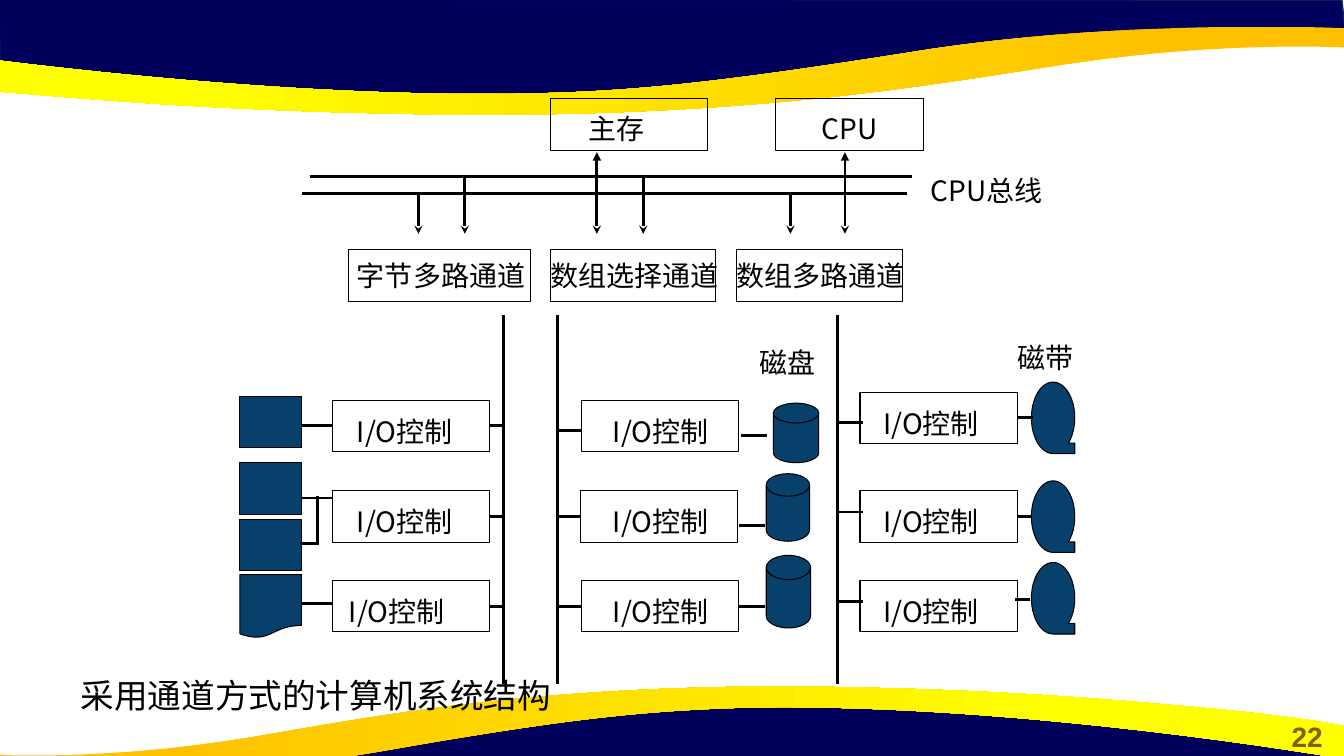
import dataclasses
import typing

import lxml.etree
import pptx
import pptx.dml.color
import pptx.enum.shapes
import pptx.enum.text
import pptx.oxml.ns
import pptx.shapes.autoshape
import pptx.shapes.base
import pptx.slide
import pptx.util

Inches = pptx.util.Inches
RGBColor = pptx.dml.color.RGBColor
SHAPE = pptx.enum.shapes.MSO_SHAPE
ALIGN = pptx.enum.text.PP_ALIGN
qn = pptx.oxml.ns.qn

BLACK = RGBColor(0x00, 0x00, 0x00)
NAVY = RGBColor(0x00, 0x00, 0x5C)
NAVY_EDGE = RGBColor(0x05, 0x30, 0x4F)
DEVICE_BLUE = RGBColor(0x07, 0x41, 0x6B)
ORANGE = RGBColor(0xFF, 0xC0, 0x00)
YELLOW = RGBColor(0xFF, 0xFF, 0x00)
BROWN = RGBColor(0x80, 0x60, 0x00)
CJK_FONT = "Noto Sans CJK SC"
LATO = "Lato"
LEFT_SIDE, RIGHT_SIDE = 1, 3
Shape = pptx.shapes.autoshape.Shape
Slide = pptx.slide.Slide


@dataclasses.dataclass
class Wave:
    points: list[tuple[float, ...]]
    gradient_angle: typing.Optional[float] = None


@dataclasses.dataclass
class Box:
    left: float
    top: float
    width: float
    height: float = 0.51
    kind: SHAPE = SHAPE.RECTANGLE
    fill: typing.Optional[RGBColor] = None


@dataclasses.dataclass
class Label:
    text: str
    left: float
    top: float
    width: float
    font: str = CJK_FONT


@dataclasses.dataclass
class Line:
    start: tuple[float, float]
    end: tuple[float, float]
    head: str = ""
    tail: str = ""
    begin_at: typing.Optional[tuple[int, int]] = None
    end_at: typing.Optional[tuple[int, int]] = None


WAVES = [
    Wave([(-0.01, -0.01), (0, 0.7), (2.93, 1.02), (5.59, 1), (7.95, 0.88), (10.16, 0.5),
          (12.38, 0.33), (13.35, 0.38), (13.31, 0)]),
    Wave([(4.83, 1.14), (4.43, 1.14, 4.01, 1.13, 3.56, 1.12), (2.06, 1.08, 1.1, 1, 0.36, 0.94),
          (-0.88, 0.84, -1.3, 0.75, -1.33, 0.75), (-1.33, 0.42, -1.33, 0.42, -1.33, 0.42),
          (-1.33, 0.42, 2.18, 0.98, 5.17, 0.93), (6.26, 0.91, 7.08, 0.83, 9.15, 0.5),
          (11.21, 0.18, 13.33, 0.28, 13.33, 0.28), (13.33, 0.32), (13.33, 0.47), (13.3, 0.47),
          (13.05, 0.46, 11.95, 0.43, 10.55, 0.64), (9.18, 0.85, 7.62, 1.13, 4.83, 1.14)], 180),
    Wave([(13.33, 7.94), (13.32, 7.24), (10.4, 6.91), (7.73, 6.93), (5.38, 7.06),
          (3.17, 7.43), (0.95, 7.6), (-0.03, 7.56), (0.01, 7.93)]),
    Wave([(7.72, 6.81), (8.09, 6.81, 8.47, 6.82, 8.88, 6.83), (10.25, 6.87, 11.12, 6.95, 11.79, 7.01),
          (12.92, 7.11, 13.3, 7.2, 13.33, 7.2), (13.33, 7.53, 13.33, 7.53, 13.33, 7.53),
          (13.33, 7.53, 10.14, 6.97, 7.42, 7.02), (6.42, 7.05, 5.67, 7.12, 3.8, 7.45),
          (1.92, 7.78, -0.01, 7.68, -0.01, 7.68), (-0.01, 7.64), (-0.01, 7.48), (0.02, 7.49),
          (0.25, 7.5, 1.25, 7.52, 2.52, 7.31), (3.76, 7.1, 5.19, 6.82, 7.72, 6.81)], 0),
]

CONTROLLERS = [
    Box(left, top, 1.56)
    for lefts, first_top in [((3.3, 3.3, 3.3), 3.97), ((5.77, 5.76, 5.77), 3.97), ((8.53, 8.53, 8.53), 3.89)]
    for left, top in zip(lefts, (first_top, 4.87, 5.76))
]
HOSTS_AND_CHANNELS = [Box(5.46, 0.98, 1.56), Box(7.69, 0.98, 1.47), Box(3.46, 2.48, 1.8),
                      Box(5.46, 2.48, 1.64), Box(7.31, 2.48, 1.64)]
DEVICES = [
    *[Box(2.38, top, 0.61, fill=DEVICE_BLUE) for top in (3.93, 4.59, 5.15)],
    Box(2.38, 5.7, 0.61, 0.63, SHAPE.FLOWCHART_DOCUMENT, DEVICE_BLUE),
    *[Box(left, top, width, height, SHAPE.FLOWCHART_MAGNETIC_DISK, DEVICE_BLUE)
      for left, top, width, height in [(7.67, 4, 0.45, 0.59), (7.6, 4.7, 0.43, 0.67), (7.6, 5.51, 0.44, 0.72)]],
    *[Box(10.23, top, 0.43, 0.71, SHAPE.FLOWCHART_SEQUENTIAL_ACCESS_STORAGE, DEVICE_BLUE)
      for top in (3.79, 4.77, 5.58)],
]

LABELS = [
    Label("主存", 5.84, 1.11, 0.69, LATO), Label("CPU", 8.15, 1.11, 0.61),
    Label("字节多路通道", 3.54, 2.56, 1.75, LATO), Label("数组选择通道", 5.46, 2.56, 1.85, LATO),
    Label("数组多路通道", 7.3, 2.56, 1.79, LATO), Label("CPU总线", 9.23, 1.72, 1.21),
    Label("磁盘", 7.53, 3.43, 0.69), Label("磁带", 10.09, 3.38, 0.69),
    *[Label("I/O控制", left, top, 1.13)
      for left, top in [(3.54, 4.11), (3.54, 5.01), (3.46, 5.9), (6.08, 4.11), (6.08, 5.01),
                        (6.08, 5.9), (8.76, 4.03), (8.76, 5.01), (8.76, 5.9)]],
]

LINES = [
    *[Line((x, 1.51), (x, 2.32), "triangle", "stealth") for x in (5.92, 8.38)],
    Line((3.07, 1.75), (9.05, 1.75)),
    Line((3, 1.92), (9, 1.92)),
    *[Line((x, y), (x, 2.32), tail="stealth")
      for x, y in [(4.15, 1.92), (4.61, 1.75), (6.38, 1.75), (7.84, 1.92)]],
    *[Line((x, 3.13), (x, 6.79)) for x in (4.99, 5.53, 8.31)],
    Line((3, 4.22), (3.3, 4.22), end_at=(0, LEFT_SIDE)),
    Line((3, 4.94), (3.3, 4.94)),
    Line((3.15, 4.92), (3.15, 5.41)),
    Line((2.98, 5.39), (3.13, 5.39)),
    Line((3, 5.99), (3.3, 5.99)),
    *[Line((4.86, y), (4.99, y), begin_at=(row, RIGHT_SIDE)) for row, y in enumerate((4.24, 5.13, 6.02))],
    Line((5.53, 4.27), (5.77, 4.27)),
    Line((5.53, 5.12), (5.76, 5.12), end_at=(4, LEFT_SIDE)),
    Line((5.53, 6.02), (5.77, 6.02), end_at=(5, LEFT_SIDE)),
    Line((7.35, 4.32), (7.61, 4.32)),
    Line((7.33, 5.21), (7.59, 5.21)),
    Line((7.33, 6.02), (7.59, 6.02), begin_at=(5, RIGHT_SIDE)),
    *[Line((8.31, y), (8.56, y)) for y in (4.19, 5.08, 5.97)],
    Line((10.09, 4.16), (10.25, 4.16), begin_at=(6, RIGHT_SIDE)),
    Line((10.09, 5.13), (10.24, 5.13), begin_at=(7, RIGHT_SIDE)),
    Line((10.07, 5.95), (10.22, 5.95)),
]


def bend_segments(shape: Shape, points: list[tuple[float, ...]]) -> None:
    segments = list(shape.element.iter(qn("a:lnTo")))
    for segment, point in zip(segments, points[1:]):
        if len(point) == 2:
            continue
        curve = lxml.etree.Element(qn("a:cubicBezTo"))
        for x, y in zip(point[::2], point[1::2]):
            lxml.etree.SubElement(curve, qn("a:pt"), x=str(Inches(x) - shape.left), y=str(Inches(y) - shape.top))
        segment.getparent().replace(segment, curve)


def draw_wave(slide: Slide, wave: Wave) -> None:
    corners = [(Inches(point[-2]), Inches(point[-1])) for point in wave.points]
    builder = slide.shapes.build_freeform(*corners[0])
    builder.add_line_segments(corners[1:], close=True)
    shape = builder.convert_to_shape()
    bend_segments(shape, wave.points)
    shape.shadow.inherit = False
    if wave.gradient_angle is None:
        shape.fill.solid()
        shape.fill.fore_color.rgb = NAVY
        shape.line.color.rgb = NAVY_EDGE
        shape.line.width = pptx.util.Pt(1)
        return
    shape.line.fill.background()
    shape.fill.gradient()
    shape.fill.gradient_angle = wave.gradient_angle
    for stop, position, color in zip(shape.fill.gradient_stops, (0.11, 0.78), (ORANGE, YELLOW)):
        stop.position = position
        stop.color.rgb = color


def draw_box(slide: Slide, box: Box) -> Shape:
    shape = slide.shapes.add_shape(box.kind, *map(Inches, (box.left, box.top, box.width, box.height)))
    shape.shadow.inherit = False
    shape.line.color.rgb = BLACK
    shape.line.width = pptx.util.Pt(0.75)
    if box.fill is None:
        shape.fill.background()
    else:
        shape.fill.solid()
        shape.fill.fore_color.rgb = box.fill
    return shape


def draw_line(slide: Slide, line: Line, controllers: list[Shape]) -> None:
    connector = slide.shapes.add_connector(
        pptx.enum.shapes.MSO_CONNECTOR.STRAIGHT, *map(Inches, (*line.start, *line.end)))
    if line.begin_at:
        connector.begin_connect(controllers[line.begin_at[0]], line.begin_at[1])
        connector.end_y = connector.begin_y
    if line.end_at:
        connector.end_connect(controllers[line.end_at[0]], line.end_at[1])
        connector.begin_y = connector.end_y
    connector.line.color.rgb = BLACK
    connector.line.width = pptx.util.Pt(2)
    properties = connector.element.spPr
    for tag, arrowhead in (("a:headEnd", line.head), ("a:tailEnd", line.tail)):
        if arrowhead:
            lxml.etree.SubElement(properties.find(qn("a:ln")), qn(tag), type=arrowhead)
    lxml.etree.SubElement(properties, qn("a:effectLst"))


def write_text(shape: pptx.shapes.base.BaseShape, text: str, *, font: str = CJK_FONT, size: float = 20,
               color: RGBColor = BLACK, bold: bool = False, alignment: ALIGN = ALIGN.LEFT) -> None:
    frame = shape.text_frame
    frame.word_wrap = True
    frame.auto_size = pptx.enum.text.MSO_AUTO_SIZE.NONE
    frame.vertical_anchor = pptx.enum.text.MSO_ANCHOR.TOP
    frame.margin_left = frame.margin_top = frame.margin_right = frame.margin_bottom = 0
    paragraph = frame.paragraphs[0]
    paragraph.alignment = alignment
    run = paragraph.add_run()
    run.text = text
    run.font.name, run.font.size, run.font.bold = font, pptx.util.Pt(size), bold
    run.font.color.rgb = color


def main() -> None:
    presentation = pptx.Presentation()
    presentation.slide_width, presentation.slide_height = Inches(13.33), Inches(7.5)
    slide = presentation.slides.add_slide(presentation.slide_layouts[5])
    for wave in WAVES:
        draw_wave(slide, wave)
    for box in HOSTS_AND_CHANNELS + DEVICES:
        draw_box(slide, box)
    controllers = [draw_box(slide, box) for box in CONTROLLERS]
    for line in LINES:
        draw_line(slide, line, controllers)
    for label in LABELS:
        text_box = slide.shapes.add_textbox(*map(Inches, (label.left, label.top, label.width, 0.34)))
        write_text(text_box, label.text, font=label.font)
    page_number = slide.shapes.add_textbox(*map(Inches, (12.6, 7.14, 0.73, 0.34)))
    write_text(page_number, "22", font="Arial", color=BROWN, bold=True, alignment=ALIGN.CENTER)
    title = slide.shapes.title
    title.left, title.top, title.width, title.height = map(Inches, (0.8, 6.7, 5.09, 0.4))
    write_text(title, "采用通道方式的计算机系统结构", size=24)
    title.element.getparent().append(title.element)
    presentation.save("out.pptx")


if __name__ == "__main__":
    main()
